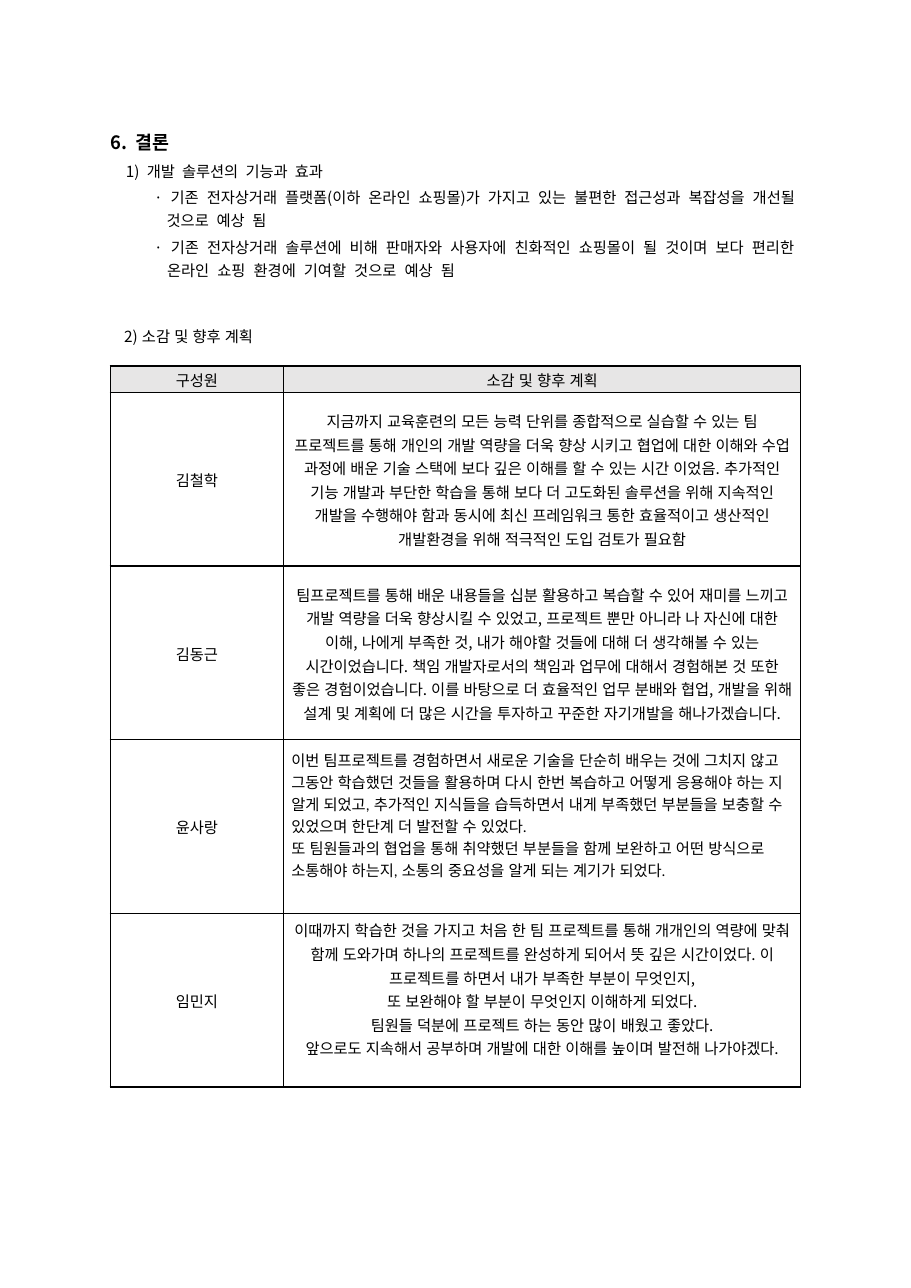
"""Build the conclusion page with its table of team reflections."""
import pptx
import pptx.util
import pptx.dml.color
import pptx.enum.text
import pptx.oxml
import pptx.oxml.ns
from pptx.util import Cm, Pt

BLACK = pptx.dml.color.RGBColor(0, 0, 0)
GREY = pptx.dml.color.RGBColor(0xE7, 0xE6, 0xE6)
FONT = "Noto Sans CJK KR"
LEFT = pptx.enum.text.PP_ALIGN.LEFT
CENTER = pptx.enum.text.PP_ALIGN.CENTER
NO_INSET = (0, 0, 0, 0)
CELL_INSET = (Cm(0.18), 0, Cm(0.18), 0)

HEADER = ("구성원", "소감 및 향후 계획")
MEMBERS = [
    ("김철학", [
        "지금까지 교육훈련의 모든 능력 단위를 종합적으로 실습할 수 있는 팀 프로젝트를 통해 개인의 개발 역량을 "
        "더욱 향상 시키고 협업에 대한 이해와 수업 과정에 배운 기술 스택에 보다 깊은 이해를 할 수 있는 시간 "
        "이었음. 추가적인 기능 개발과 부단한 학습을 통해 보다 더 고도화된 솔루션을 위해 지속적인 개발을 "
        "수행해야 함과 동시에 최신 프레임워크 통한 효율적이고 생산적인 개발환경을 위해 적극적인 도입 검토가 필요함",
    ], {}),
    ("김동근", [
        "팀프로젝트를 통해 배운 내용들을 십분 활용하고 복습할 수 있어 재미를 느끼고 개발 역량을 더욱 향상시킬 수 "
        "있었고, 프로젝트 뿐만 아니라 나 자신에 대한 이해, 나에게 부족한 것, 내가 해야할 것들에 대해 더 "
        "생각해볼 수 있는 시간이었습니다. 책임 개발자로서의 책임과 업무에 대해서 경험해본 것 또한 좋은 "
        "경험이었습니다. 이를 바탕으로 더 효율적인 업무 분배와 협업, 개발을 위해 설계 및 계획에 더 많은 시간을 "
        "투자하고 꾸준한 자기개발을 해나가겠습니다.",
    ], {}),
    ("윤사랑", [
        "이번 팀프로젝트를 경험하면서 새로운 기술을 단순히 배우는 것에 그치지 않고 그동안 학습했던 것들을 활용하며 "
        "다시 한번 복습하고 어떻게 응용해야 하는 지 알게 되었고, 추가적인 지식들을 습득하면서 내게 부족했던 "
        "부분들을 보충할 수 있었으며 한단계 더 발전할 수 있었다.",
        "또 팀원들과의 협업을 통해 취약했던 부분들을 함께 보완하고 어떤 방식으로 소통해야 하는지, 소통의 중요성을 "
        "알게 되는 계기가 되었다.",
    ], {"align": LEFT, "spacing": 1.0, "latin": "Calibri", "bottom": Cm(0.54)}),
    ("임민지", [
        "이때까지 학습한 것을 가지고 처음 한 팀 프로젝트를 통해 개개인의 역량에 맞춰 함께 도와가며 하나의 "
        "프로젝트를 완성하게 되어서 뜻 깊은 시간이었다. 이 프로젝트를 하면서 내가 부족한 부분이 무엇인지,",
        "또 보완해야 할 부분이 무엇인지 이해하게 되었다.",
        "팀원들 덕분에 프로젝트 하는 동안 많이 배웠고 좋았다.",
        "앞으로도 지속해서 공부하며 개발에 대한 이해를 높이며 발전해 나가야겠다.",
    ], {"bottom": Cm(0.54)}),
]


def add_run(p, text, size, bold, latin, gap=0):
    """Add one formatted run, with extra letter spacing in points."""
    r = p.add_run()
    r.text = text
    r.font.size, r.font.bold, r.font.name = Pt(size), bold, latin
    r.font.color.rgb = BLACK
    r_pr = r.font._element
    ea = pptx.oxml.parse_xml(
        f'<a:ea {pptx.oxml.ns.nsdecls("a")} typeface="{FONT}"/>')
    r_pr.find(pptx.oxml.ns.qn("a:latin")).addnext(ea)
    if gap:
        r_pr.set("spc", str(round(gap * 100)))


def write(tf, lines, *, size=10, bold=False, latin=FONT, align=LEFT,
          spacing=Pt(11.4), before=0, indent=0, gap=0.5):
    """Fill a text frame; gap widens the spaces between words."""
    for i, line in enumerate(lines):
        p = tf.add_paragraph() if i else tf.paragraphs[0]
        p.alignment, p.line_spacing = align, spacing
        if i:
            p.space_before = Pt(before)
            if indent:
                p._p.get_or_add_pPr().set("marL", str(indent))
        for j, word in enumerate(line.split(" ")):
            if j:
                add_run(p, " ", size, bold, latin, gap)
            add_run(p, word, size, bold, latin)


def set_insets(box, insets):
    """Set the four margins of a text frame or a cell."""
    box.margin_left, box.margin_top, box.margin_right, box.margin_bottom = insets


def fill_box(sp, at, lines, **fmt):
    """Place a shape and write its text from the top."""
    sp.left, sp.top, sp.width, sp.height = map(Cm, at)
    tf = sp.text_frame
    tf.word_wrap = True
    tf.auto_size = pptx.enum.text.MSO_AUTO_SIZE.NONE
    tf.vertical_anchor = pptx.enum.text.MSO_ANCHOR.TOP
    set_insets(tf, NO_INSET)
    write(tf, lines, **fmt)


def add_text(s, at, *lines, **fmt):
    """Add a text box."""
    fill_box(s.shapes.add_textbox(0, 0, 0, 0), at, lines, **fmt)


def fill_cell(cell, lines, fill=None, bottom=0, align=CENTER, spacing=1.07, **fmt):
    """Write a cell and give it borders and an optional fill."""
    set_insets(cell, CELL_INSET)
    cell.margin_bottom = bottom
    cell.vertical_anchor = pptx.enum.text.MSO_ANCHOR.MIDDLE
    write(cell.text_frame, lines, align=align, spacing=spacing, **fmt)
    tc_pr = cell._tc.get_or_add_tcPr()
    for side in ("lnL", "lnR", "lnT", "lnB"):
        tc_pr.append(pptx.oxml.parse_xml(
            f'<a:{side} {pptx.oxml.ns.nsdecls("a")} w="{Pt(1)}"><a:solidFill>'
            f'<a:srgbClr val="{BLACK}"/></a:solidFill></a:{side}>'))
    if fill is None:
        cell.fill.background()
    else:
        cell.fill.solid()
        cell.fill.fore_color.rgb = fill


def add_members_table(s):
    """Add the table of members and their reflections."""
    table = s.shapes.add_table(len(MEMBERS) + 1, 2, Cm(2.54), Cm(8.43),
                               Cm(15.9), Cm(16.61)).table
    table.first_row = table.horz_banding = False
    for col, width in zip(table.columns, (3.99, 11.91)):
        col.width = Cm(width)
    for i, row in enumerate(table.rows):
        row.height = Cm(4 if i else 0.61)
    for i, label in enumerate(HEADER):
        fill_cell(table.cell(0, i), [label], fill=GREY)
    for i, (name, lines, fmt) in enumerate(MEMBERS, 1):
        fill_cell(table.cell(i, 0), [name])
        fill_cell(table.cell(i, 1), lines, **fmt)


def main():
    """Build and save the page."""
    prs = pptx.Presentation()
    prs.slide_width, prs.slide_height = Cm(20.98), Cm(29.67)
    s = prs.slides.add_slide(prs.slide_layouts[5])
    fill_box(s.shapes.title, (2.54, 3.05, 4, 0.58), ["6. 결론"],
             size=12, bold=True, spacing=Pt(13.8), gap=2.8)
    add_text(s, (2.9, 3.76, 6, 0.5), "1) 개발 솔루션의 기능과 효과", gap=2.5)
    add_text(s, (3.55, 4.36, 16, 0.5),
             "· 기존 전자상거래 플랫폼(이하 온라인 쇼핑몰)가 가지고 있는 "
             "불편한 접근성과 복잡성을 개선될", gap=3)
    add_text(s, (3.84, 4.89, 4, 0.5), "것으로 예상 됨", gap=2.8)
    add_text(s, (3.55, 5.51, 16, 1.04),
             "· 기존 전자상거래 솔루션에 비해 판매자와 사용자에 친화적인 "
             "쇼핑몰이 될 것이며 보다 편리한",
             "온라인 쇼핑 환경에 기여할 것으로 예상 됨",
             before=3.5, indent=Cm(0.3), gap=3.1)
    add_members_table(s)
    add_text(s, (2.86, 7.55, 5.08, 0.38), "2) 소감 및 향후 계획")
    prs.save("out.pptx")


if __name__ == "__main__":
    main()
